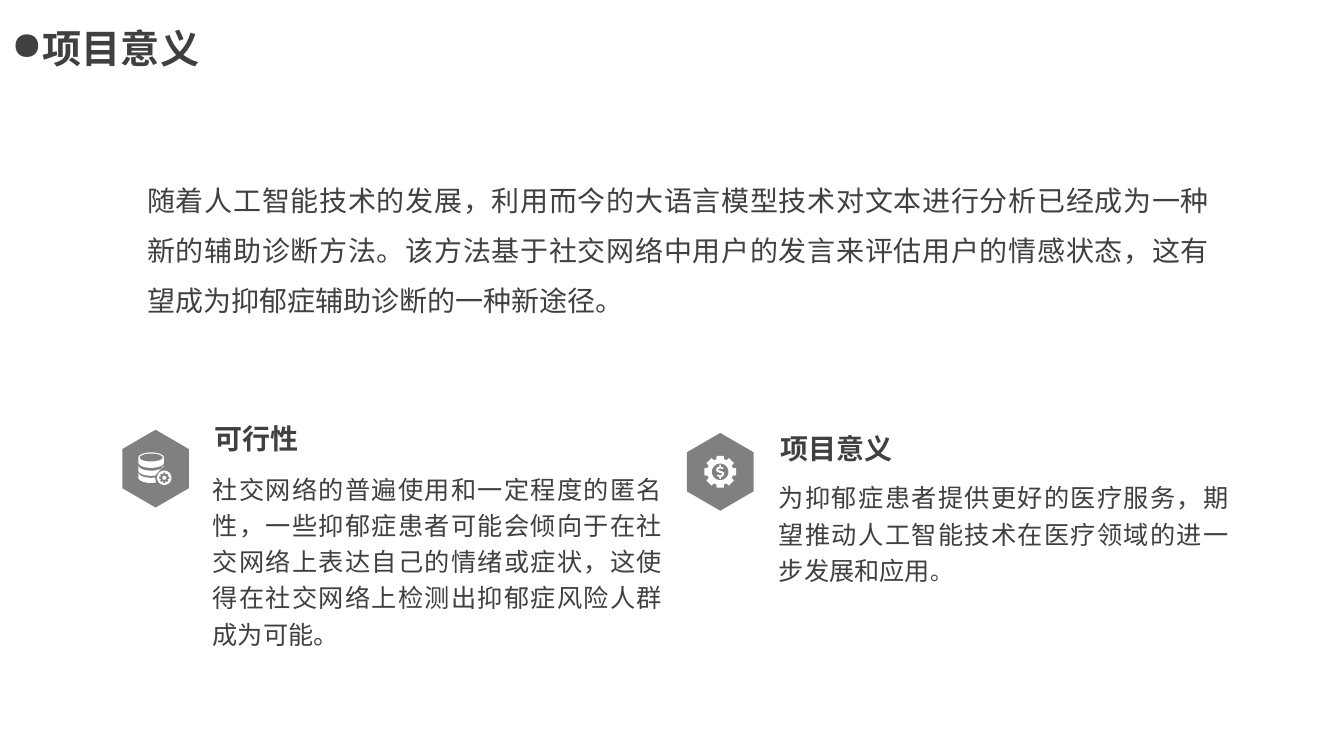
from math import cos, sin, pi, hypot

from pptx import Presentation
from pptx import util as u
from pptx.dml.color import RGBColor
from pptx.enum import shapes, text
from pptx.oxml import parse_xml
from pptx.oxml.ns import nsdecls

FONT, INK, GREY, WHITE = "Noto Sans CJK SC", "404040", "808080", "FFFFFF"

TITLE = "项目意义"
INTRO = ("随着人工智能技术的发展，利用而今的大语言模型技术对文本进行分析已经成为一种"
         "新的辅助诊断方法。该方法基于社交网络中用户的发言来评估用户的情感状态，"
         "这有望成为抑郁症辅助诊断的一种新途径。")
# Lengths in cm: hexagon centre, heading corner, body box
ITEMS = [
    dict(icon="data", mid=(3.92, 11.81), head="可行性", top=(5.41, 10.59),
         box=(5.36, 11.79, 11.33, 4.55),
         body=[("社交网络的普遍使用和一定程度的匿名性，一些抑郁症患者可能会倾向于"
                "在社交网络上表达自己的情绪或症状，这使得在社交网络上检测出"
                "抑郁症风险人群成为可能。", 18)]),
    dict(icon="gear", mid=(18.15, 11.89), head="项目意义", top=(19.66, 10.85),
         box=(19.63, 12.01, 11.33, 2.69),
         body=[("为抑郁症患者提供更好的医疗服务，期望推动人工智能技术在医疗领域的"
                "进一步发展和应用", 18), ("。", 16)]),
]
# Half of the dollar sign; the other half is its mirror through the centre
DOLLAR = [(-.02, -.13), (-.02, -.18), (.02, -.18), (.02, -.13), (.09, -.1),
          (.06, -.07), (0, -.09), (-.05, -.06), (-.04, -.04), (.03, -.02),
          (.09, .01), (.1, .05), (.08, .11)]


def paint(fill, tone):
    fill.solid()
    fill.fore_color.rgb = RGBColor.from_string(tone)


def place(shape, left, top, width, height):
    shape.left, shape.top = u.Cm(left), u.Cm(top)
    shape.width, shape.height = u.Cm(width), u.Cm(height)


def write(shape, runs, bold=False, align=text.PP_ALIGN.LEFT, line=1.0,
          anchor=text.MSO_ANCHOR.TOP, inset=0, wrap=True):
    frame = shape.text_frame
    frame.word_wrap = wrap
    frame.auto_size = text.MSO_AUTO_SIZE.NONE
    frame.vertical_anchor = anchor
    frame.margin_left = frame.margin_right = u.Cm(inset)
    frame.margin_top = frame.margin_bottom = u.Cm(inset / 2)
    para = frame.paragraphs[0]
    para.alignment, para.line_spacing = align, line
    para.space_before = u.Pt(0)
    for words, size in runs:
        run = para.add_run()
        run.text = words
        paint(run.font.fill, INK)
        run.font.size, run.font.bold, run.font.name = u.Pt(size), bold, FONT
        run.font._element.append(
            parse_xml(f'<a:ea {nsdecls("a")} typeface="{FONT}"/>'))
    return para


def bullet(para, mark, indent):
    """Set the bullet sign, or none, and its hanging indent."""
    props = para._p.get_or_add_pPr()
    props.set("marL", str(u.Cm(indent)))
    props.set("indent", str(-u.Cm(indent)))
    tag = f'buChar {nsdecls("a")} char="{mark}"' if mark else f'buNone {nsdecls("a")}'
    props.append(parse_xml(f"<a:{tag}/>"))


def arc(x, y, wide, high, start=0.0, end=2 * pi, steps=40):
    turns = [start + (end - start) * i / steps for i in range(steps + 1)]
    return [(x + wide * cos(t), y + high * sin(t)) for t in turns]


def cog(x, y, tip, root):
    """Outline of a wheel with eight teeth."""
    ring = []
    for i in range(8):
        for turn, reach in ((-.3, root), (-.22, tip), (.22, tip), (.3, root)):
            t = i * pi / 4 + turn
            ring.append((x + reach * cos(t), y + reach * sin(t)))
    return ring


def data():
    """Stack of disks with a small gear badge."""
    x, wide, high = -.11, .32, .13
    bx, by, gap = .22, .23, .22
    parts = [arc(x, -.28, wide, high, pi, 2 * pi) + arc(x, -.15, wide, high, 0, pi),
             arc(x, -.28, .29, .1)]
    for top in (-.08, .1):
        band = (arc(x, top, wide, high, pi, 0)
                + arc(x, top + .13, wide, high, 0, pi))
        parts.append([(px, py) for px, py in band if hypot(px - bx, py - by) > gap])
    return parts + [arc(bx, by, .18, .18), cog(bx, by, .13, .1), arc(bx, by, .05, .05)]


def gear():
    """Gear with a dollar sign in its hole."""
    return [cog(0, 0, .41, .33), arc(0, 0, .21, .21),
            DOLLAR + [(-x, -y) for x, y in DOLLAR]]


def draw(tree, parts, mid):
    first, *rest = [[(x * 1000, y * 1000) for x, y in part] for part in parts]
    pen = tree.build_freeform(*first[0], scale=u.Cm(1) / 1000)
    pen.add_line_segments(first[1:])
    for part in rest:
        pen.move_to(*part[0])
        pen.add_line_segments(part[1:])
    finish(pen.convert_to_shape(u.Cm(mid[0]), u.Cm(mid[1])), WHITE)


def finish(shape, tone):
    paint(shape.fill, tone)
    shape.line.fill.background()
    shape.shadow.inherit = False


def main():
    deck = Presentation()
    deck.slide_width, deck.slide_height = u.Cm(33.87), u.Cm(19.05)
    slide = deck.slides.add_slide(deck.slide_layouts[1])
    tree = slide.shapes
    just, middle = text.PP_ALIGN.JUSTIFY, text.MSO_ANCHOR.MIDDLE

    title, intro = tree.title, slide.placeholders[1]
    place(title, 0, .48, 5.31, 1.45)
    para = write(title, [(TITLE, 28)], True, text.PP_ALIGN.CENTER,
                 anchor=middle, inset=.25, wrap=False)
    bullet(para, "●", .79)
    place(intro, 3.71, 4.19, 26.77, 4.78)
    bullet(write(intro, [(INTRO, 20)], align=just, line=1.5), None, 0)

    icons = {"data": data, "gear": gear}
    long, short = 1.96, 1.68
    for item in ITEMS:
        x, y = item["mid"]
        hexa = tree.add_shape(shapes.MSO_SHAPE.HEXAGON, 0, 0, 0, 0)
        place(hexa, x - long / 2, y - short / 2, long, short)
        hexa.rotation = 90
        hexa.adjustments[0] = .29
        finish(hexa, GREY)
        draw(tree, icons[item["icon"]](), item["mid"])

        body = tree.add_textbox(0, 0, 0, 0)
        place(body, *item["box"])
        write(body, item["body"], align=just, line=1.2)
        head = tree.add_textbox(0, 0, 0, 0)
        place(head, *item["top"], 5.51, .91)
        write(head, [(item["head"], 20)], True, anchor=middle)

    deck.save("out.pptx")


if __name__ == "__main__":
    main()
